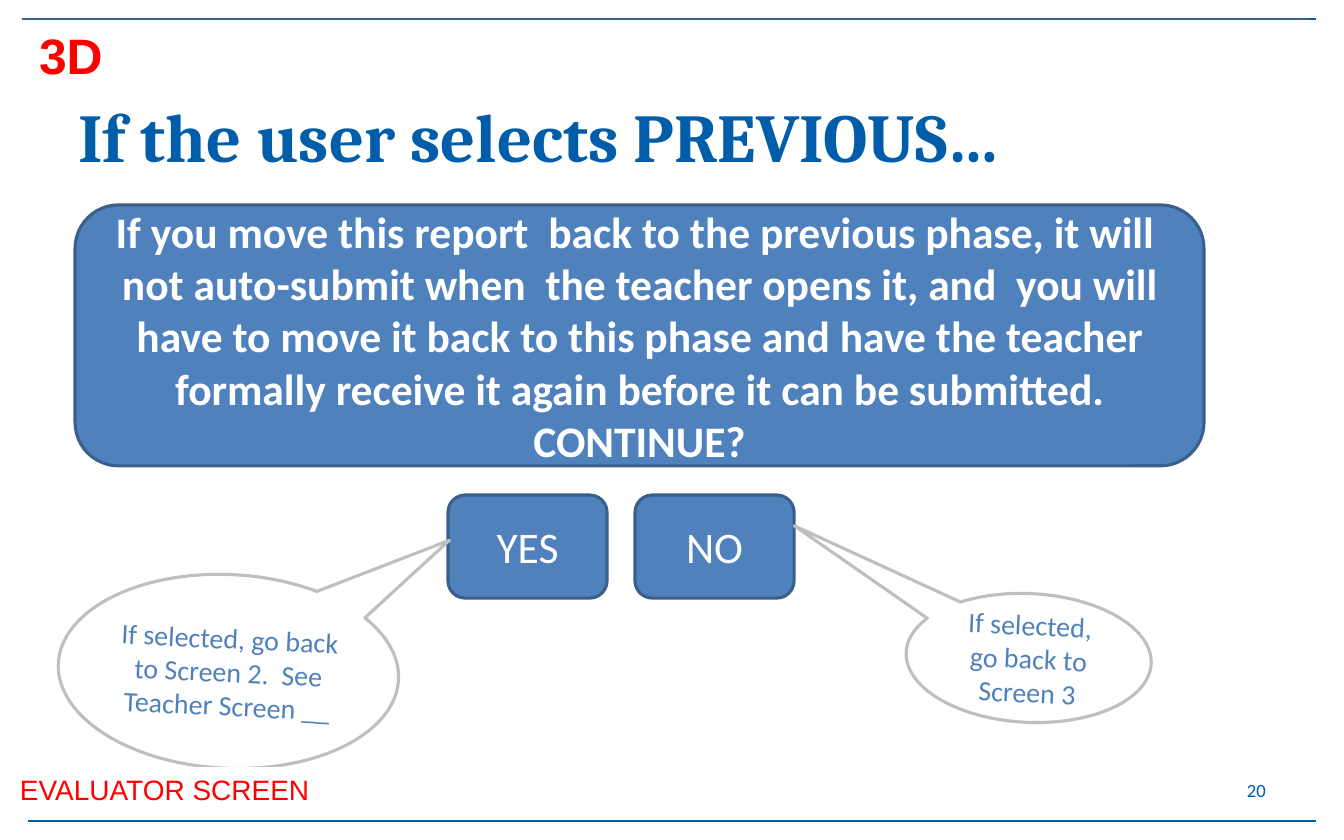
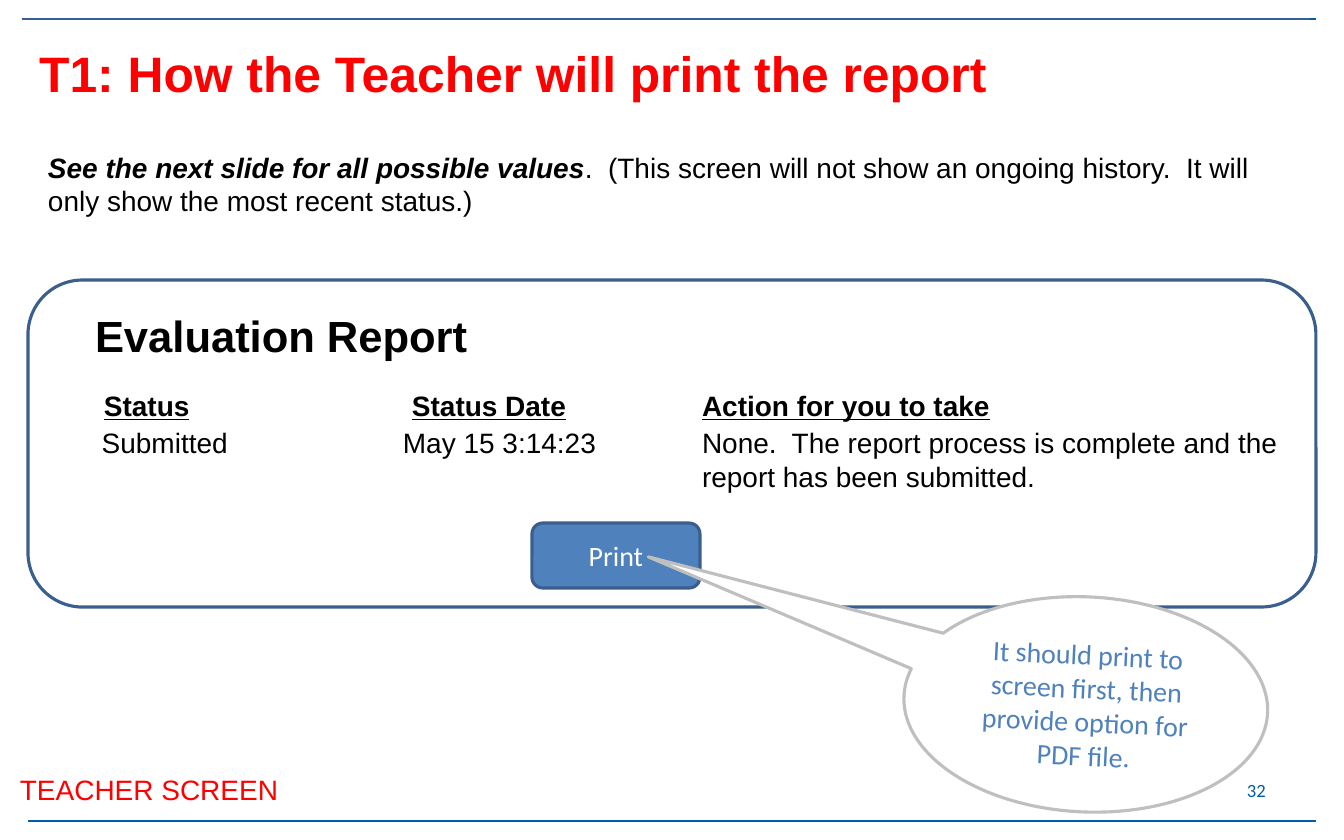
"""Build two screen mock-ups from an evaluation workflow: going back a phase, and printing."""
from pptx import Presentation
from pptx.dml.color import RGBColor
from pptx.enum.shapes import MSO_CONNECTOR, MSO_SHAPE
from pptx.enum.text import MSO_ANCHOR, MSO_AUTO_SIZE, PP_ALIGN
from pptx.oxml.ns import qn
from pptx.util import Emu, Pt
from lxml.etree import SubElement

PX = 9144
COLORS = {
    "brand": "005DAA", "rule": "376092", "button": "4F81BD", "edge": "3A5F8C",
    "bubble": "BFBFBF", "alert": "FF0000", "ink": "000000", "white": "FFFFFF",
}
RGB = {name: RGBColor.from_string(value) for name, value in COLORS.items()}
BUTTON = {"kind": MSO_SHAPE.ROUNDED_RECTANGLE, "fill": "button", "line": "edge"}
BUBBLE = {"kind": MSO_SHAPE.OVAL_CALLOUT, "fill": "white", "line": "bubble"}
CENTERED = {"font": "Calibri", "align": PP_ALIGN.CENTER, "anchor": MSO_ANCHOR.MIDDLE}


def draw(page, left, top, width, height, kind=None, fill=None, line=None):
    """Add a preset shape, or a text box when no kind is given."""
    place = [Emu(length * PX) for length in (left, top, width, height)]
    if kind is None:
        box = page.shapes.add_textbox(*place)
    else:
        box = page.shapes.add_shape(kind, *place)
        box.shadow.inherit = False
    if fill:
        box.fill.solid()
        box.fill.fore_color.rgb = RGB[fill]
    else:
        box.fill.background()
    if line:
        box.line.color.rgb = RGB[line]
        box.line.width = Pt(2)
    return box


def write(box, text, size=18, font="Arial", color="ink", bold=False, italic=False,
          underline=False, align=PP_ALIGN.LEFT, anchor=MSO_ANCHOR.TOP):
    """Append text to a box; each line break starts a new paragraph."""
    frame = box.text_frame
    frame.word_wrap = True
    frame.auto_size = MSO_AUTO_SIZE.NONE
    frame.vertical_anchor = anchor
    for index, words in enumerate(text.split("\n")):
        para = frame.add_paragraph() if index else frame.paragraphs[-1]
        para.alignment = align
        span = para.add_run()
        span.text = words
        span.font.size = Pt(size)
        span.font.name = font
        span.font.color.rgb = RGB[color]
        span.font.bold = bold
        span.font.italic = italic
        span.font.underline = underline


deck = Presentation()
deck.slide_width, deck.slide_height = Emu(1200 * PX), Emu(750 * PX)
pages = [deck.slides.add_slide(deck.slide_layouts[5]) for _ in range(2)]
previous_page, print_page = pages

titles = [
    ((60, 58, 1080, 125), "If the user selects PREVIOUS…",
     {"size": 44, "font": "Cambria", "color": "brand", "anchor": MSO_ANCHOR.MIDDLE}),
    ((25, 33, 1112, 64), "T1: How the Teacher will print the report",
     {"size": 32, "color": "alert"}),
]
for page, (place, text, style) in zip(pages, titles):
    title = page.shapes.title
    title.left, title.top, title.width, title.height = [Emu(length * PX) for length in place]
    write(title, text, bold=True, **style)

warning = draw(previous_page, 67, 183, 1008, 233, **BUTTON)
write(warning,
      "If you move this report  back to the previous phase, it will  not auto-submit when  "
      "the teacher opens it, and  you will have to move it back to this phase and have the "
      "teacher formally receive it again before it can be submitted.\nCONTINUE?",
      size=28, color="white", bold=True, **CENTERED)
for index, answer in enumerate(["YES", "NO"]):
    button = draw(previous_page, 400 + 167 * index, 442, 142, 92, **BUTTON)
    write(button, answer, size=28, color="white", **CENTERED)
screen_code = draw(previous_page, 25, 17, 142, 64)
write(screen_code, "3D", size=32, color="alert", bold=True)

heading = draw(print_page, 75, 271, 425, 57)
write(heading, "Evaluation Report", size=28, bold=True)
report_columns = [
    ("Status", 83, 100, "Submitted", 81, 150),
    ("Status Date", 358, 175, "May 15 3:14:23", 350, 267),
    ("Action for you to take", 617, 300,
     "None.  The report process is complete and the report has been submitted.", 617, 550),
]
for label, label_left, label_width, value, value_left, value_width in report_columns:
    write(draw(print_page, label_left, 342, label_width, 40), label, bold=True, underline=True)
    write(draw(print_page, value_left, 375, value_width, 71), value)
print_button = draw(print_page, 475, 467, 150, 58, **BUTTON)
write(print_button, "Print", color="white", **CENTERED)
draw(print_page, 25, 250, 1150, 292, MSO_SHAPE.ROUNDED_RECTANGLE, line="edge")
note = draw(print_page, 33, 129, 1108, 71)
write(note, "See the next slide for all possible values", bold=True, italic=True)
write(note, ".  (This screen will not show an ongoing history.  "
            "It will only show the most recent status.)")

callouts = [
    (previous_page, (52, 513, 304, 173), (0.63, -0.73),
     "If selected, go back to Screen 2.  See Teacher Screen __"),
    (previous_page, (809, 530, 219, 115), (-0.98, -0.94), "If selected, go back to Screen 3"),
    (print_page, (807, 533, 325, 192), (-1.22, -0.59),
     "It should print to screen first, then provide option for PDF file."),
]
for page, place, tip, text in callouts:
    callout = draw(page, *place, **BUBBLE)
    callout.rotation = 2.7
    callout.adjustments[0], callout.adjustments[1] = tip
    write(callout, text, color="button", **CENTERED)

rules = [(25, 1175, 17, "brand"), (25, 1175, 733, "brand"), (20, 1170, 17, "rule")]
footers = [("EVALUATOR SCREEN", "20"), ("TEACHER SCREEN", "32")]
for page, (audience, number) in zip(pages, footers):
    for start, end, height, color in rules:
        rule = page.shapes.add_connector(
            MSO_CONNECTOR.STRAIGHT, *[Emu(length * PX) for length in (start, height, end, height)])
        rule.line.color.rgb = RGB[color]
        rule.line.width = Pt(1.5)
        SubElement(rule._element.spPr, qn("a:effectLst"))
    write(draw(page, 8, 685, 333, 40, fill="white"), audience, color="alert")
    write(draw(page, 860, 685, 280, 40), number, size=12, font="Calibri", color="brand",
          align=PP_ALIGN.RIGHT, anchor=MSO_ANCHOR.MIDDLE)

deck.save("out.pptx")
